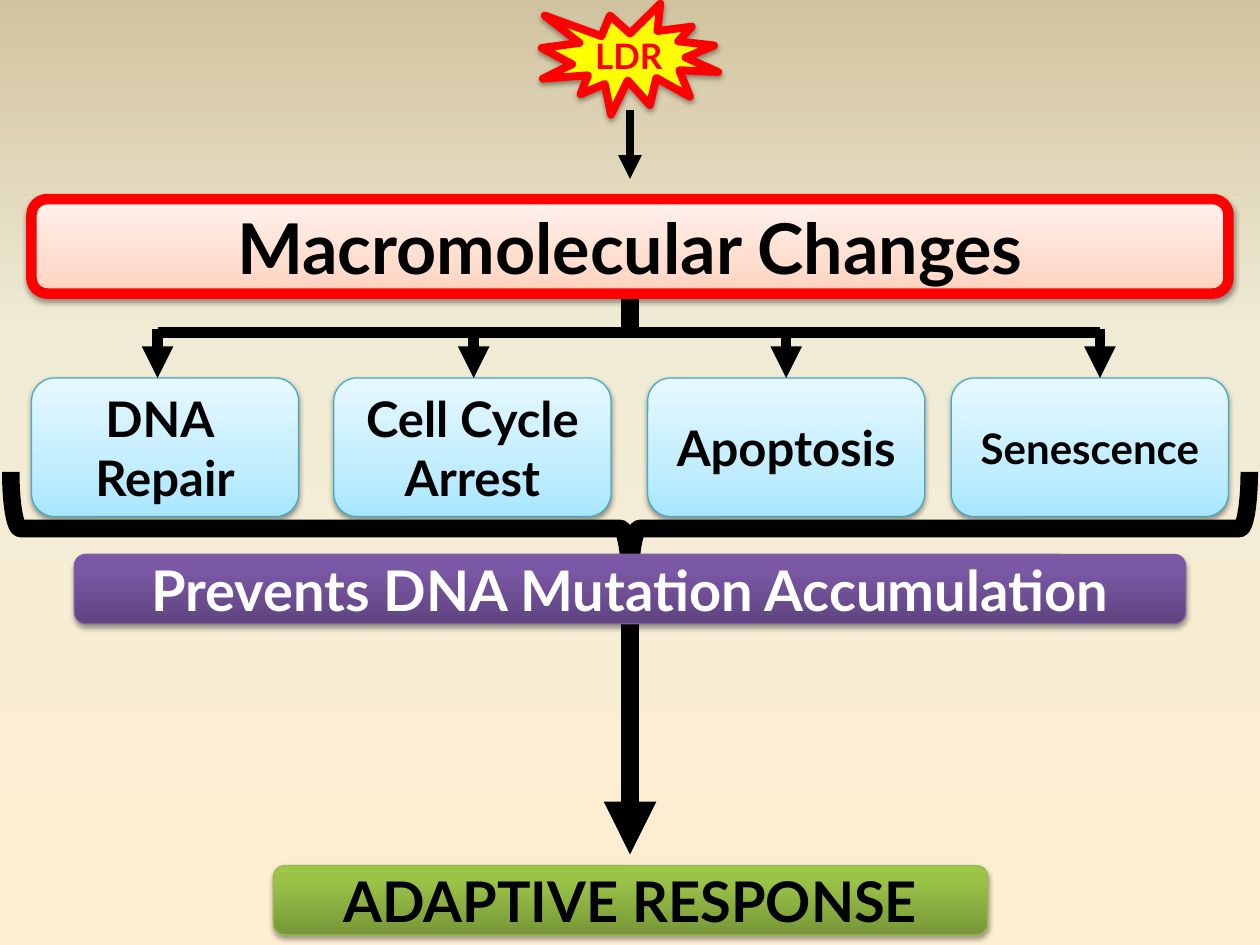
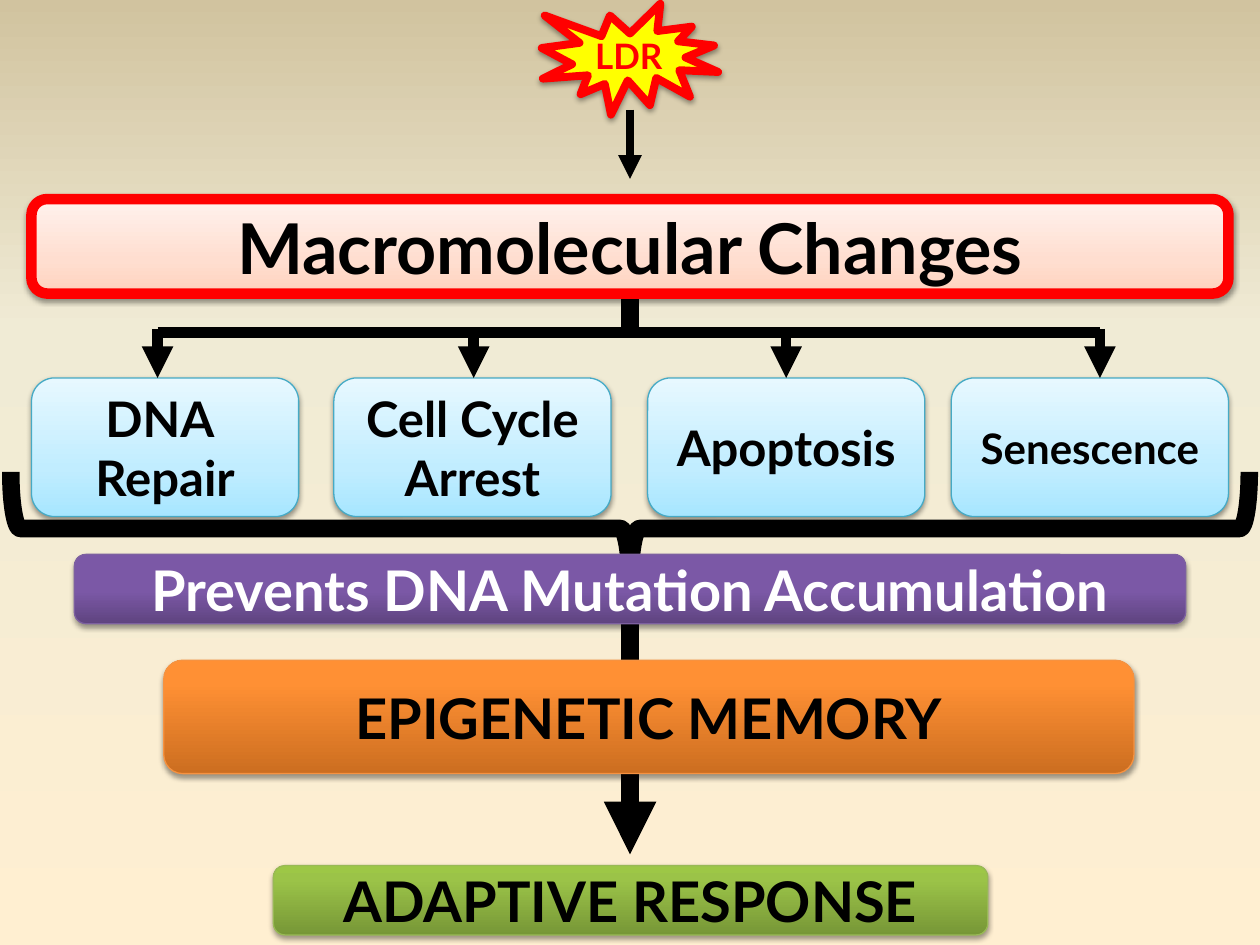
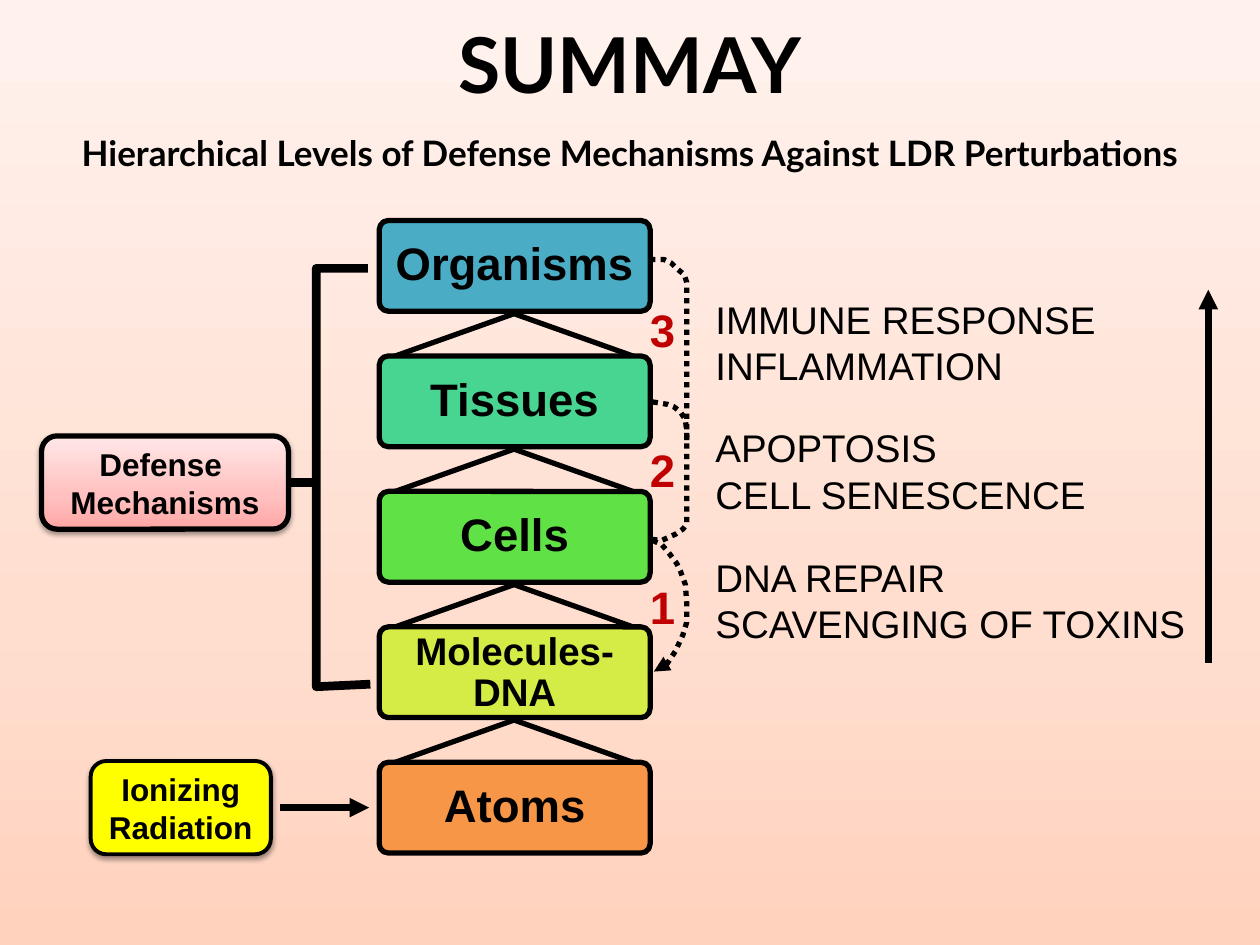
"""Builds three slides on defense mechanisms against low dose radiation."""
import lxml.etree
import pptx
import pptx.dml.color
import pptx.enum.dml
import pptx.enum.shapes
import pptx.enum.text
import pptx.oxml.ns
import pptx.util

Inches = pptx.util.Inches
Pt = pptx.util.Pt
qn = pptx.oxml.ns.qn
KIND = pptx.enum.shapes.MSO_SHAPE
ALIGN = pptx.enum.text.PP_ALIGN

HUES = {
    "black": "000000", "white": "FFFFFF", "red": "FF0000", "yellow": "FFFF00",
    "crimson": "C00000", "aqua": "46AAC5", "plum": "7D60A0", "leaf": "98B955",
    "amber": "F69240", "teal": "4BACC6", "mint": "48D491", "green": "60E146",
    "lime": "D5EC46", "orange": "F79646",
}
BLENDS = {
    "sand": [(0, "FFEFD1"), (65, "F0EBD5"), (100, "D1C39F")],
    "peach": [(0, "FFD2BD"), (35, "FFDED0"), (100, "FFF2ED")],
    "sky": [(0, "A7E6FF"), (35, "C1EDFF"), (100, "E7F8FF")],
    "grape": [(0, "5F4480"), (80, "7B58A6"), (100, "7C57A8")],
    "violet": [(0, "5F4480"), (47, "7B58A6"), (100, "7C57A8")],
    "grass": [(0, "779737"), (80, "9BC348"), (100, "9DC746")],
    "ember": [(0, "CC6E20"), (80, "FF9034"), (100, "FF9136")],
    "rose": [(0, "FFA6A5"), (35, "FFC0BF"), (100, "FFE7E7")],
}

FATES = [
    (0.25, 2.12, 1.25, ["DNA ", "Repair"], 28),
    (2.65, 2.2, 3.76, ["Cell Cycle", "Arrest"], 28),
    (5.14, 2.2, 6.24, ["Apoptosis"], 28),
    (7.55, 2.2, 8.73, ["Senescence"], 24),
]
LEVELS = [
    ("Organisms", "teal", 26, 0.1),
    ("Tissues", "mint", 26, 0.1),
    ("Cells", "green", 26, 0.1),
    ("Molecules-DNA", "lime", 22, 0.12),
    ("Atoms", "orange", 26, 0.1),
]
STEPS = [
    ("3", 2.35, 2.3, 3.23, ["IMMUNE RESPONSE", "INFLAMMATION"]),
    ("2", 3.46, 3.32, 3.15, ["APOPTOSIS", "CELL SENESCENCE"]),
    ("1", 4.55, 4.35, 3.96, ["DNA REPAIR", "SCAVENGING OF TOXINS"]),
]
LOOPS = [
    ([(5.18, 4.29), (5.25, 4.32), (5.31, 4.39), (5.37, 4.47), (5.4, 4.53),
      (5.44, 4.64), (5.45, 4.78), (5.45, 4.94), (5.42, 5.04), (5.36, 5.17),
      (5.28, 5.29), (5.24, 5.31), (5.19, 5.33)], True),
    ([(5.18, 3.19), (5.3, 3.21), (5.35, 3.23), (5.4, 3.27), (5.44, 3.33),
      (5.45, 3.43), (5.45, 4.16), (5.42, 4.2), (5.36, 4.24), (5.25, 4.29),
      (5.17, 4.28)], False),
    ([(5.16, 2.06), (5.27, 2.06), (5.33, 2.09), (5.37, 2.13), (5.43, 2.18),
      (5.45, 2.24), (5.45, 3.51)], False),
]
CLAMP = [(2.92, 2.13), (2.51, 2.13), (2.51, 5.45), (2.94, 5.43)]


def tint(name):
    return pptx.dml.color.RGBColor.from_string(HUES[name])


def node(parent, tag, **attrs):
    return lxml.etree.SubElement(parent, qn("a:" + tag), attrs)


def paint(shape, fill):
    if fill is None:
        shape.fill.background()
    elif fill in BLENDS:
        shape.fill.gradient()
        shape.fill.gradient_angle = 90
        stops = shape.element.spPr.find(qn("a:gradFill")).find(qn("a:gsLst"))
        for old in list(stops):
            stops.remove(old)
        for place, hue in BLENDS[fill]:
            node(node(stops, "gs", pos=str(place * 1000)), "srgbClr", val=hue)
    else:
        shape.fill.solid()
        shape.fill.fore_color.rgb = tint(fill)


def stroke(shape, hue, width, head=False):
    shape.line.color.rgb = tint(hue)
    shape.line.width = Pt(width)
    if head:
        node(shape.element.spPr.find(qn("a:ln")), "tailEnd", type="triangle")


def shade(shape):
    glow = node(shape.element.spPr.find(qn("a:effectLst")), "outerShdw",
                blurRad=str(Pt(3.1)), dist=str(Pt(1.6)), dir="5400000", rotWithShape="0")
    node(node(glow, "srgbClr", val=HUES["black"]), "alpha", val="38000")


def form(slide, kind, box, fill=None, edge=None, width=0.75, soft=False):
    shape = slide.shapes.add_shape(kind, *map(Inches, box))
    shape.shadow.inherit = False
    paint(shape, fill)
    if edge:
        stroke(shape, edge, width)
    else:
        shape.line.fill.background()
    if soft:
        shade(shape)
    return shape


def write(frame, lines, size, hue="black", font="Lato", bold=True, align=ALIGN.CENTER):
    for num, line in enumerate(lines):
        para = frame.add_paragraph() if num else frame.paragraphs[0]
        para.alignment = align
        run = para.add_run()
        run.text = line
        run.font.size = Pt(size)
        run.font.name = font
        run.font.bold = bold
        run.font.color.rgb = tint(hue)


def card(slide, box, lines, size, fill, edge, width=0.75, hue="black", font="Lato",
         kind=KIND.ROUNDED_RECTANGLE):
    shape = form(slide, kind, box, fill, edge, width, True)
    frame = shape.text_frame
    frame.word_wrap = False
    frame.vertical_anchor = pptx.enum.text.MSO_ANCHOR.MIDDLE
    write(frame, lines, size, hue, font)


def label(slide, box, lines, size, hue="black", bold=False):
    frame = slide.shapes.add_textbox(*map(Inches, box)).text_frame
    frame.word_wrap = False
    frame.auto_size = pptx.enum.text.MSO_AUTO_SIZE.SHAPE_TO_FIT_TEXT
    write(frame, lines, size, hue, "Arial", bold, ALIGN.LEFT)


def rule(slide, ends, width, head=False):
    line = slide.shapes.add_connector(
        pptx.enum.shapes.MSO_CONNECTOR.STRAIGHT, *map(Inches, ends))
    stroke(line, "black", width, head)
    node(line.element.spPr, "effectLst")


def trace(slide, points, width, head=False, dots=False):
    spots = [(Inches(x), Inches(y)) for x, y in points]
    pen = slide.shapes.build_freeform(*spots[0])
    pen.add_line_segments(spots[1:], close=False)
    shape = pen.convert_to_shape()
    shape.shadow.inherit = False
    shape.fill.background()
    if dots:
        shape.line.dash_style = pptx.enum.dml.MSO_LINE.ROUND_DOT
    stroke(shape, "black", width, head)


def start(deck, fill):
    slide = deck.slides.add_slide(deck.slide_layouts[6])
    form(slide, KIND.RECTANGLE, (0, 0, 10, 7.5), fill)
    return slide


def flow(deck, band, memo):
    slide = start(deck, "sand")
    rule(slide, (5, 4.18, 5, 6.78), 10, True)
    for left, wide, _, lines, size in FATES:
        card(slide, (left, 3, wide, 1.1), lines, size, "sky", "aqua")
    rule(slide, (5, 0.87, 5, 1.42), 4.5, True)
    brace = form(slide, KIND.RIGHT_BRACE, (4.55, -0.72, 0.9, 9.83), None, "black", 10)
    brace.rotation = 90
    card(slide, (2.17, 6.87, 5.67, 0.55), ["ADAPTIVE RESPONSE"], 32, "grass", "leaf")
    rule(slide, (FATES[0][2], 2.64, FATES[-1][2], 2.64), 6)
    rule(slide, (5, 2.17, 5, 2.64), 10)
    for fate in FATES:
        rule(slide, (fate[2], 2.61, fate[2], 3), 6, True)
    card(slide, (0.25, 1.58, 9.5, 0.75), ["Macromolecular Changes"], 40, "peach", "red", 6)
    card(slide, (4.3, 0.03, 1.4, 0.88), ["LDR"], 20, "yellow", "red", 4.5, "red",
         kind=KIND.EXPLOSION1)
    if memo:
        card(slide, (1.3, 5.24, 7.7, 0.9), ["EPIGENETIC MEMORY"], 32, "ember", "amber")
    card(slide, (0.59, 4.4, 8.82, 0.55), ["Prevents DNA Mutation Accumulation"], 32,
         band, "plum", hue="white")


def tower(slide):
    for num, (name, fill, size, inset) in enumerate(LEVELS):
        top = 1.75 + num * 1.075
        shape = form(slide, KIND.ROUNDED_RECTANGLE, (3.01, top, 2.15, 0.72), fill, "black", 3)
        shape.adjustments[0] = 0.1
        frame = shape.text_frame
        frame.word_wrap = True
        frame.vertical_anchor = pptx.enum.text.MSO_ANCHOR.MIDDLE
        frame.margin_left = frame.margin_right = frame.margin_bottom = Inches(0.1)
        frame.margin_top = Inches(inset)
        write(frame, [name], size, font="Arial")
        frame.paragraphs[0].line_spacing = 0.9
        if num < len(LEVELS) - 1:
            roof = (3.04, top + 0.74, 2.08, 0.37)
            form(slide, KIND.ISOSCELES_TRIANGLE, roof, None, "black", 3)


def recap(deck):
    slide = start(deck, "peach")
    tower(slide)
    for points, head in LOOPS:
        trace(slide, points, 3, head, True)
    card(slide, (0.72, 6.04, 1.43, 0.74), ["Ionizing", "Radiation"], 18,
         "yellow", "black", 2.25, font="Arial")
    trace(slide, CLAMP, 5)
    rule(slide, (2.54, 3.83, 2.15, 3.83), 5)
    card(slide, (0.33, 3.46, 1.96, 0.74), ["Defense ", "Mechanisms"], 18,
         "rose", "black", 3, font="Arial")
    rule(slide, (2.22, 6.41, 2.93, 6.41), 3.75, True)
    for digit, high, top, wide, lines in STEPS:
        label(slide, (5.06, high, 0.39, 0.53), [digit], 26, "crimson", True)
        label(slide, (5.58, top, wide, 0.83), lines, 22)
    rule(slide, (9.59, 5.26, 9.59, 2.3), 3.75, True)
    title = slide.shapes.add_textbox(*map(Inches, (0, 0.08, 10, 1.37))).text_frame
    title.word_wrap = True
    write(title, ["SUMMAY", "Hierarchical Levels of Defense Mechanisms "
                  "Against LDR Perturbations"], 44)
    below = title.paragraphs[1]
    below.space_before = Pt(13)
    below.runs[0].font.size = Pt(20)


def main():
    deck = pptx.Presentation()
    deck.slide_width = Inches(10)
    deck.slide_height = Inches(7.5)
    flow(deck, "grape", False)
    flow(deck, "violet", True)
    recap(deck)
    deck.save("out.pptx")


if __name__ == "__main__":
    main()
